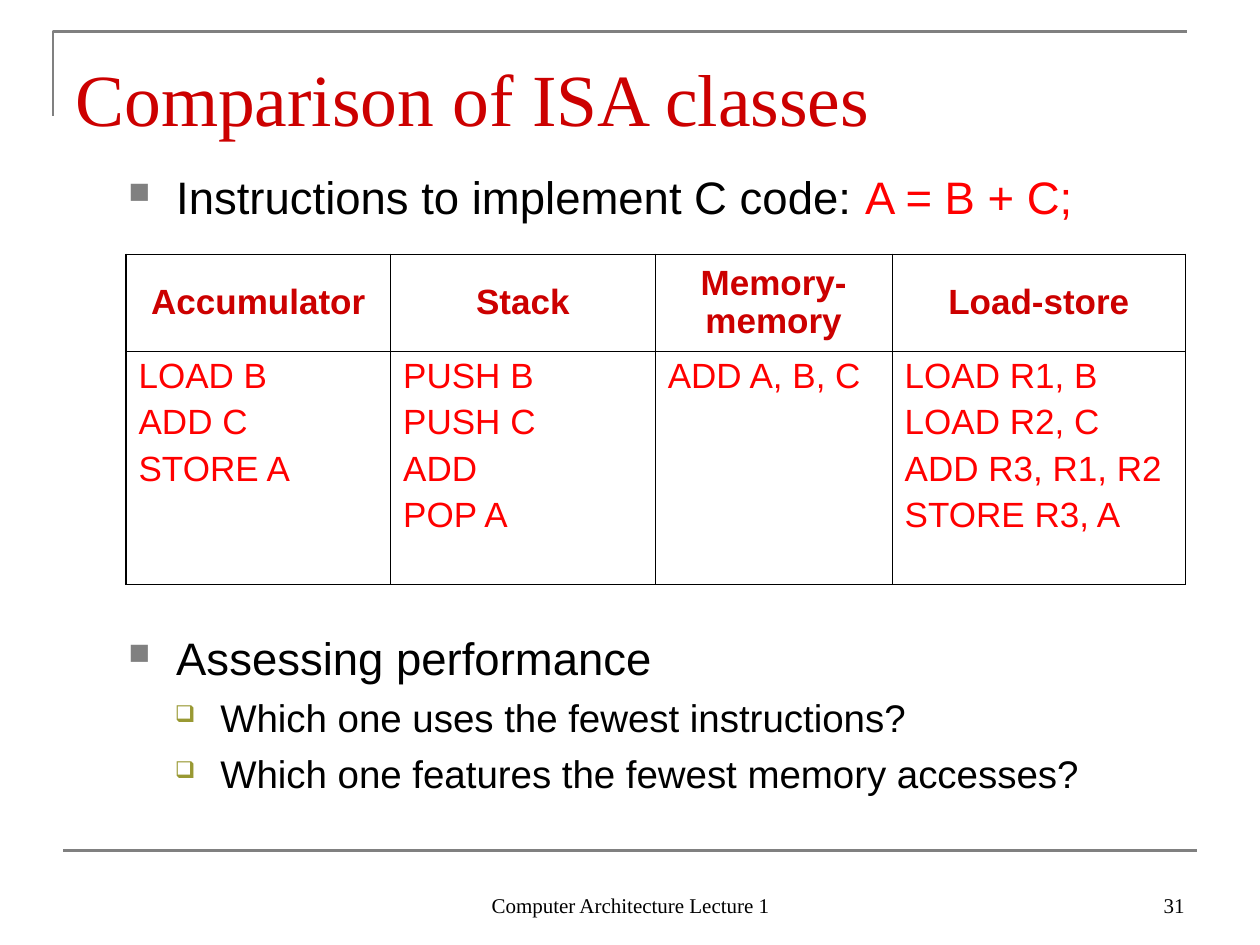
from lxml import etree
from pptx import Presentation
from pptx.dml.color import RGBColor
from pptx.enum.shapes import MSO_CONNECTOR
from pptx.enum.text import MSO_ANCHOR, PP_ALIGN
from pptx.oxml.ns import qn
from pptx.util import Inches, Pt

LEFT, CENTER, RIGHT = PP_ALIGN.LEFT, PP_ALIGN.CENTER, PP_ALIGN.RIGHT
TOP, MIDDLE, BOTTOM = MSO_ANCHOR.TOP, MSO_ANCHOR.MIDDLE, MSO_ANCHOR.BOTTOM
STRAIGHT = MSO_CONNECTOR.STRAIGHT

COLORS = {"rule": "808080", "title": "CC0000", "code": "FF0000",
          "text": "000000", "sub_bullet": "999933"}
SERIF, SANS = "Times New Roman", "Arial"
THICK, THIN = 1.08, 0.45

# Per outline level: size, space before, left margin, indent, bullet, colour, percent
LEVELS = [(26, 6.5, 0.38, -0.38, "■", "rule", 65),
          (22, 5.5, 0.73, -0.36, "❑", "sub_bullet", 60)]

# Heading, instructions and column width of each ISA class
CLASSES = [
    ("Accumulator", ["LOAD B", "ADD C", "STORE A"], 2.1),
    ("Stack", ["PUSH B", "PUSH C", "ADD", "POP A"], 2.1),
    ("Memory-memory", ["ADD A, B, C"], 1.88),
    ("Load-store", ["LOAD R1, B", "LOAD R2, C", "ADD R3, R1, R2", "STORE R3, A"], 2.33),
]
ROW_HEIGHTS = [0.77, 1.85]


def rgb(name):
    return RGBColor.from_string(COLORS[name])


def set_font(font, face, size, color, bold=False):
    font.name, font.size, font.bold = face, Pt(size), bold
    font.color.rgb = rgb(color)


def add_text_box(page, left, top, width, height, anchor=TOP):
    frame = page.shapes.add_textbox(
        Inches(left), Inches(top), Inches(width), Inches(height)).text_frame
    frame.word_wrap = True
    frame.vertical_anchor = anchor
    return frame


def add_label(page, text, place, size, color, align=LEFT, anchor=TOP):
    para = add_text_box(page, *place, anchor).paragraphs[0]
    para.text, para.alignment = text, align
    set_font(para.font, SERIF, size, color)


def add_bullet(para, level):
    _, _, margin, indent, char, color, percent = LEVELS[level]
    props = para._p.get_or_add_pPr()
    props.set("marL", str(Inches(margin)))
    props.set("indent", str(Inches(indent)))
    tint = etree.SubElement(props, qn("a:buClr"))
    etree.SubElement(tint, qn("a:srgbClr"), val=COLORS[color])
    etree.SubElement(props, qn("a:buSzPct"), val=str(percent * 1000))
    etree.SubElement(props, qn("a:buChar"), char=char)


def add_outline(page, place, items):
    """Each item is a level and a list of (text, colour) spans."""
    frame = add_text_box(page, *place)
    for index, (level, spans) in enumerate(items):
        para = frame.add_paragraph() if index else frame.paragraphs[0]
        add_bullet(para, level)
        size, space = LEVELS[level][:2]
        para.level = level
        if index:
            para.space_before = Pt(space)
        set_font(para.font, SANS, size, "text")
        for text, color in spans:
            span = para.add_run()
            span.text = text
            set_font(span.font, SANS, size, color)


def set_border(cell, side, width):
    line = etree.SubElement(cell._tc.get_or_add_tcPr(), qn(f"a:ln{side}"), w=str(Pt(width)))
    fill = etree.SubElement(line, qn("a:solidFill"))
    etree.SubElement(fill, qn("a:srgbClr"), val=COLORS["text"])


def fill_cell(cell, lines, color, bold, align, anchor):
    cell.fill.background()
    cell.vertical_anchor = anchor
    frame = cell.text_frame
    for index, text in enumerate(lines):
        para = frame.add_paragraph() if index else frame.paragraphs[0]
        para.text, para.alignment = text, align
        para.line_spacing = 0.97
        if index:
            para.space_before = Pt(5)
        set_font(para.font, SANS, 20, color, bold)


def add_class_table(page, left, top):
    width = sum(entry[2] for entry in CLASSES)
    table = page.shapes.add_table(
        len(ROW_HEIGHTS), len(CLASSES), Inches(left), Inches(top),
        Inches(width), Inches(sum(ROW_HEIGHTS))).table
    table.first_row = table.horz_banding = False
    for row, height in zip(table.rows, ROW_HEIGHTS):
        row.height = Inches(height)
    last = len(CLASSES) - 1
    for index, (heading, code, column_width) in enumerate(CLASSES):
        table.columns[index].width = Inches(column_width)
        head, body = table.cell(0, index), table.cell(1, index)
        # Thick outer frame, thin inner lines
        for cell in (head, body):
            set_border(cell, "L", THICK if index == 0 else THIN)
            set_border(cell, "R", THICK if index == last else THIN)
            set_border(cell, "T", THICK if cell is head else THIN)
            set_border(cell, "B", THICK if cell is body else THIN)
        fill_cell(head, [heading], "title", True, CENTER, MIDDLE)
        fill_cell(body, code, "code", False, LEFT, TOP)


def style_rule(shape):
    shape.line.color.rgb = rgb("rule")
    shape.line.width = Pt(1.5)


def add_title_corner(page):
    builder = page.shapes.build_freeform(Inches(0.42), Inches(0.92))
    builder.add_line_segments(
        [(Inches(0.42), Inches(0.25)), (Inches(9.42), Inches(0.25))], close=False)
    corner = builder.convert_to_shape()
    corner.fill.background()
    corner.shadow.inherit = False
    style_rule(corner)


def add_footer_rule(page):
    rule = page.shapes.add_connector(
        STRAIGHT, Inches(0.5), Inches(6.75), Inches(9.5), Inches(6.75))
    style_rule(rule)
    etree.SubElement(rule._element.spPr, qn("a:effectLst"))


def main():
    deck = Presentation()
    deck.slide_width, deck.slide_height = Inches(10), Inches(7.5)
    page = deck.slides.add_slide(deck.slide_layouts[6])

    # Frame lines and footer
    add_title_corner(page)
    add_footer_rule(page)
    add_label(page, "Computer Architecture Lecture 1", (3.42, 6.83, 3.17, 0.5),
              12, "text", CENTER, BOTTOM)
    add_label(page, "31", (7.17, 6.83, 2.33, 0.5), 12, "text", RIGHT, BOTTOM)

    # Title and outline around the table
    add_label(page, "Comparison of ISA classes", (0.5, 0.37, 9, 0.78), 42, "title")
    add_outline(page, (0.92, 1.29, 8.58, 0.55), [
        (0, [("Instructions to implement C code: ", "text"), ("A = B + C;", "code")])])
    add_outline(page, (0.92, 4.95, 8.58, 1.45), [
        (0, [("Assessing performance", "text")]),
        (1, [("Which one uses the fewest instructions?", "text")]),
        (1, [("Which one features the fewest memory accesses?", "text")])])

    # Code for each ISA class
    add_class_table(page, 1, 2.02)
    deck.save("out.pptx")


if __name__ == "__main__":
    main()
